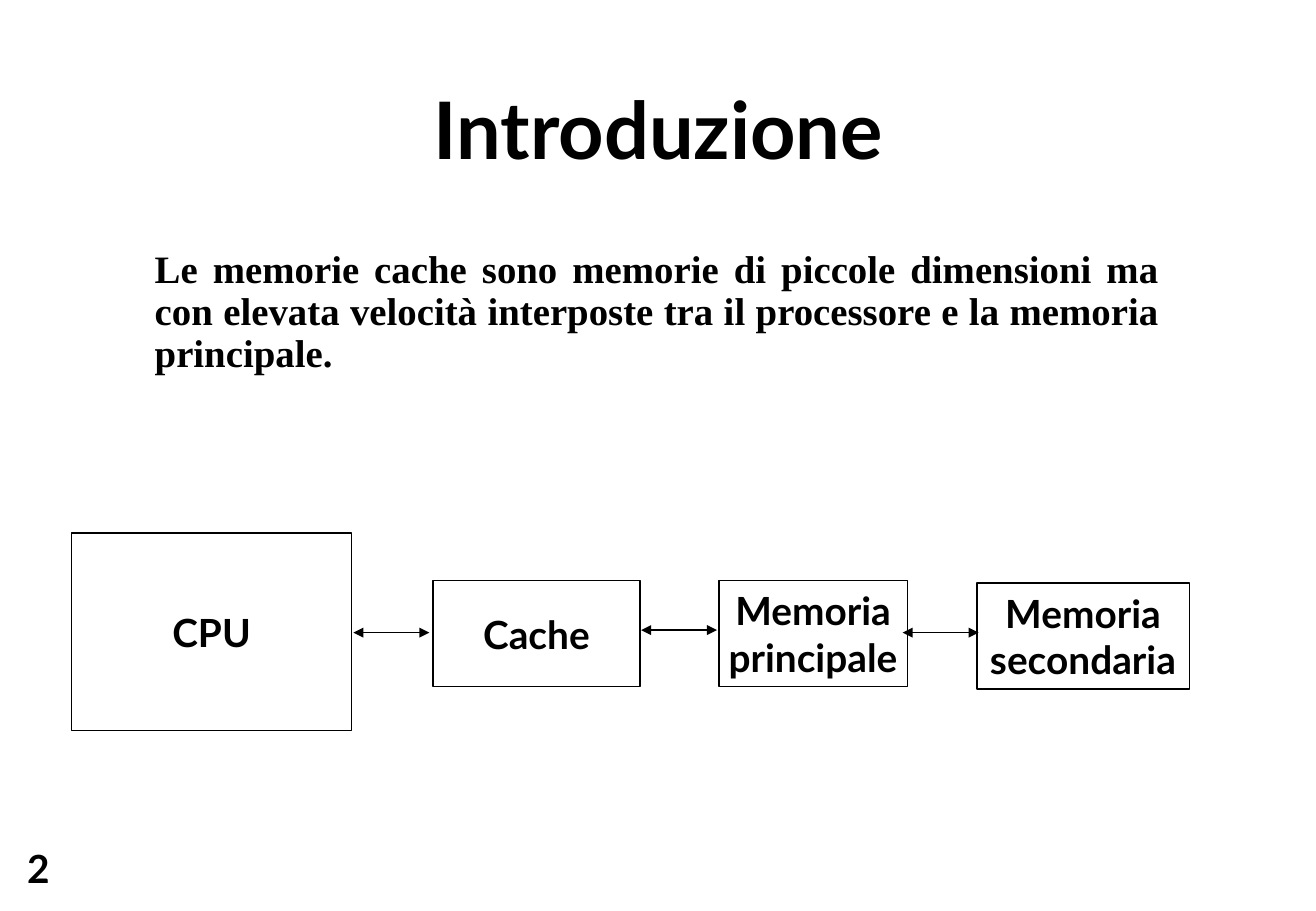
from lxml import etree
from pptx import Presentation
from pptx import util as u
from pptx.dml.color import RGBColor
from pptx.enum import shapes, text
from pptx.oxml.ns import qn

COLORS = {"ink": "000000", "paper": "FFFFFF"}
INK = RGBColor.from_string(COLORS["ink"])
HEADING_FONT = "Lato"
BODY_FONT = "Times New Roman"


def place(sp, left, top, width, height):
    sp.left, sp.top = u.Pt(left), u.Pt(top)
    sp.width, sp.height = u.Pt(width), u.Pt(height)


def write(sp, lines, size, font, align, anchor, wrap, inset_x, inset_y):
    tf = sp.text_frame
    tf.auto_size = text.MSO_AUTO_SIZE.NONE
    tf.word_wrap = wrap
    tf.vertical_anchor = anchor
    tf.margin_left = tf.margin_right = u.Pt(inset_x)
    tf.margin_top = tf.margin_bottom = u.Pt(inset_y)
    for i, line in enumerate(lines):
        p = tf.paragraphs[0] if i == 0 else tf.add_paragraph()
        p.alignment = align
        p.space_before = u.Pt(0)
        r = p.add_run()
        r.text = line
        r.font.size = u.Pt(size)
        r.font.name = font
        r.font.bold = True
        r.font.color.rgb = INK
    return tf


prs = Presentation()
prs.slide_width, prs.slide_height = u.Pt(780), u.Pt(540)
s = prs.slides.add_slide(prs.slide_layouts[1])
s.background.fill.solid()
s.background.fill.fore_color.rgb = RGBColor.from_string(COLORS["paper"])

LEFT, CENTER, JUSTIFY = text.PP_ALIGN.LEFT, text.PP_ALIGN.CENTER, text.PP_ALIGN.JUSTIFY
TOP, MIDDLE = text.MSO_ANCHOR.TOP, text.MSO_ANCHOR.MIDDLE

title = s.shapes.title
place(title, 245.5, 46, 289.5, 59)
write(title, ["Introduzione"], 47, HEADING_FONT, CENTER, TOP, False, 3.6, 1.5)

body = s.placeholders[1]
place(body, 84.5, 144.5, 610.5, 120)
tf = write(body, ["Le memorie cache sono memorie di piccole dimensioni ma con elevata "
                  "velocità interposte tra il processore e la memoria principale."],
           23, BODY_FONT, JUSTIFY, TOP, True, 7.2, 3.6)
p = tf.paragraphs[0]
p.line_spacing = 0.9
pPr = p._p.get_or_add_pPr()
pPr.set("marL", "0")
pPr.set("indent", "0")
etree.SubElement(pPr, qn("a:buNone"))

number = s.shapes.add_textbox(u.Pt(12.5), u.Pt(499.5), u.Pt(35), u.Pt(31))
write(number, ["2"], 23, HEADING_FONT, LEFT, TOP, False, 3.6, 1.5)

units = [
    (["CPU"], 42.5, 316, 166, 117),
    (["Cache"], 256.5, 344, 123, 63),
    (["Memoria", "principale"], 426, 344, 112, 63),
    (["Memoria", "secondaria"], 579, 345.5, 126, 63),
]
for label, *box in units:
    sp = s.shapes.add_shape(shapes.MSO_SHAPE.RECTANGLE, *map(u.Pt, box))
    sp.shadow.inherit = False
    sp.fill.background()
    sp.line.color.rgb = INK
    sp.line.width = u.Pt(1)
    write(sp, label, 23, HEADING_FONT, CENTER, MIDDLE, False, 7.2, 3.6)

ARROW_LENGTH = 45
for x, y in [(209.5, 375), (380, 373.5), (535, 375)]:
    arrow = s.shapes.add_connector(shapes.MSO_CONNECTOR.STRAIGHT,
                                   u.Pt(x), u.Pt(y), u.Pt(x + ARROW_LENGTH), u.Pt(y))
    arrow.line.color.rgb = INK
    arrow.line.width = u.Pt(1)
    ln = arrow.line._get_or_add_ln()
    for end in ("a:headEnd", "a:tailEnd"):
        etree.SubElement(ln, qn(end), type="triangle")
    etree.SubElement(arrow._element.spPr, qn("a:effectLst"))

prs.save("out.pptx")
